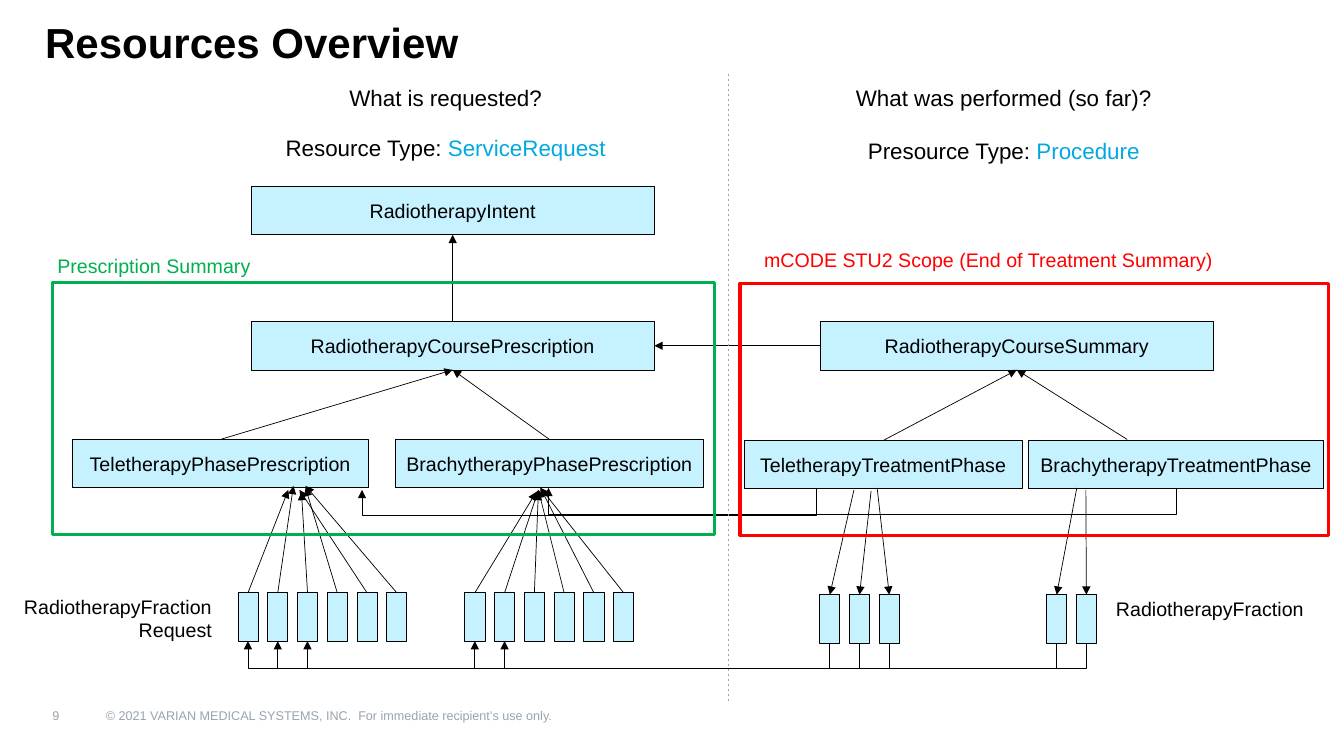
from lxml import etree
from pptx import Presentation
from pptx.dml.color import RGBColor
from pptx.enum import dml, shapes, text
from pptx.oxml.ns import qn
from pptx.util import Inches, Pt

COLORS = {"black": "000000", "white": "FFFFFF", "box": "C6F1FF", "blue": "00A9E0",
          "grey": "98A4AE", "red": "FF0000", "green": "00B050"}

# Resource boxes: label, left, top, width
BOX_H = 0.48
RESOURCES = [
    ("RadiotherapyIntent", 2.49, 1.85, 4),
    ("RadiotherapyCoursePrescription", 2.49, 3.19, 4),
    ("TeletherapyPhasePrescription", 0.72, 4.36, 2.93),
    ("BrachytherapyPhasePrescription", 3.92, 4.36, 3.06),
    ("RadiotherapyCourseSummary", 8.14, 3.19, 3.89),
    ("TeletherapyTreatmentPhase", 7.38, 4.37, 2.76),
    ("BrachytherapyTreatmentPhase", 10.2, 4.37, 2.93),
]
# Child to parent, from top centre to bottom centre
PARENTS = [
    ("RadiotherapyCoursePrescription", "RadiotherapyIntent"),
    ("TeletherapyPhasePrescription", "RadiotherapyCoursePrescription"),
    ("BrachytherapyPhasePrescription", "RadiotherapyCoursePrescription"),
    ("TeletherapyTreatmentPhase", "RadiotherapyCourseSummary"),
    ("BrachytherapyTreatmentPhase", "RadiotherapyCourseSummary"),
]
# Fraction rows: left of the first box, and one arrow end at the phase for each box
FRACTION_W, FRACTION_PITCH = 0.2, 0.295
REQUEST_TOP, PERFORMED_TOP = 5.88, 5.9
REQUESTS = [
    (2.36, [(2.86, 4.86), (2.91, 4.82), (2.99, 4.88), (3.03, 4.84), (2.97, 4.86), (3.03, 4.82)]),
    (4.61, [(5.32, 4.88), (5.34, 4.86), (5.34, 4.88), (5.34, 4.86), (5.36, 4.84), (5.36, 4.84)]),
]
PERFORMED = [
    (8.13, [(8.47, 4.86), (8.64, 4.87), (8.7, 4.84)]),
    (10.38, [(10.68, 4.84), (10.77, 4.86)]),
]
REQUEST_SHIFT = 5.77  # from a performed fraction back to its request
RETURN_Y = 6.63
PHASE_LINKS = [
    [(8.1, 4.85), (8.1, 5.11), (3.59, 5.11), (3.59, 4.86)],
    [(11.67, 4.85), (11.67, 5.1), (5.44, 5.1), (5.44, 4.84)],
]
# Column headings: left, width, space before the type, question, type label, type
HEADINGS = [
    (2.2, 4.44, 18, "What is requested?", "Resource Type: ", "ServiceRequest"),
    (8.01, 3.89, 20, "What was performed (so far)?", "Presource Type: ", "Procedure"),
]
# Scope frames: left, top, width, colour, caption, caption left, caption top
SCOPES = [
    (7.34, 2.81, 5.84, "red", "mCODE STU2 Scope (End of Treatment Summary)", 7.48, 2.29),
    (0.52, 2.8, 6.57, "green", "Prescription Summary", 0.47, 2.35),
]

prs = Presentation()
prs.slide_width, prs.slide_height = Inches(13.33), Inches(7.5)
s = prs.slides.add_slide(prs.slide_layouts[6])


def rgb(name):
    return RGBColor.from_string(COLORS[name])


def style(run, size, color, bold=False):
    f = run.font
    f.name, f.size, f.bold = "Arial", Pt(size), bold
    f.color.rgb = rgb(color)


def add_text(at, content, size, color="black", align=text.PP_ALIGN.LEFT, bold=False,
             spacing=1.0, wrap=True, anchor=text.MSO_ANCHOR.TOP):
    sp = s.shapes.add_textbox(*map(Inches, at))
    tf = sp.text_frame
    tf.word_wrap, tf.vertical_anchor = wrap, anchor
    tf.text = content
    p = tf.paragraphs[0]
    p.alignment, p.line_spacing = align, spacing
    style(p.runs[0], size, color, bold)
    return tf


def add_box(left, top, width, height, fill="box", line="black", weight=0.5):
    sp = s.shapes.add_shape(shapes.MSO_SHAPE.RECTANGLE, *map(Inches, (left, top, width, height)))
    sp.shadow.inherit = False
    if fill:
        sp.fill.solid()
        sp.fill.fore_color.rgb = rgb(fill)
    else:
        sp.fill.background()
    sp.line.color.rgb, sp.line.width = rgb(line), Pt(weight)
    return sp


def set_line(sp, color="black", arrow=True):
    sp.line.color.rgb, sp.line.width = rgb(color), Pt(0.5)
    if arrow:
        ln = sp.element.spPr.find(qn("a:ln"))
        etree.SubElement(ln, qn("a:tailEnd"), type="triangle")


def add_line(start, end, color="black", arrow=True):
    sp = s.shapes.add_connector(shapes.MSO_CONNECTOR.STRAIGHT, *map(Inches, (*start, *end)))
    set_line(sp, color, arrow)
    etree.SubElement(sp.element.spPr, qn("a:effectLst"))
    return sp


def add_elbow(points):
    start, *rest = [tuple(map(Inches, pt)) for pt in points]
    fb = s.shapes.build_freeform(*start)
    fb.add_line_segments(rest, close=False)
    sp = fb.convert_to_shape()
    sp.shadow.inherit = False
    sp.fill.background()
    set_line(sp)


def add_fractions(left, top, count):
    """Draw a row of fraction boxes and return their centre x positions."""
    lefts = [left + i * FRACTION_PITCH for i in range(count)]
    for x in lefts:
        add_box(x, top, FRACTION_W, BOX_H)
    return [x + FRACTION_W / 2 for x in lefts]


# Title and column headings
add_text((0.35, 0.17, 12.3, 0.68), "Resources Overview", 30, bold=True, spacing=0.9)
for left, width, gap, question, label, kind in HEADINGS:
    tf = add_text((left, 0.82, width, 0.44), question, 16, align=text.PP_ALIGN.CENTER, spacing=0.9)
    p = tf.add_paragraph()
    p.text = label
    p.alignment, p.line_spacing, p.space_before = text.PP_ALIGN.CENTER, 0.9, Pt(gap)
    style(p.runs[0], 16, "black")
    r = p.add_run()
    r.text = kind
    style(r, 16, "blue")

# Resource boxes
tops, bottoms = {}, {}
for name, left, top, width in RESOURCES:
    tf = add_box(left, top, width, BOX_H).text_frame
    tf.text = name
    tf.paragraphs[0].alignment = text.PP_ALIGN.CENTER
    style(tf.paragraphs[0].runs[0], 14, "black")
    tops[name] = (left + width / 2, top)
    bottoms[name] = (left + width / 2, top + BOX_H)

# Links between resources
for child, parent in PARENTS:
    start = (11.18, 4.36) if child == "BrachytherapyTreatmentPhase" else tops[child]
    add_line(start, bottoms[parent])
add_line((8.14, 3.43), (6.49, 3.43))
for points in PHASE_LINKS:
    add_elbow(points)

# Fractions, with their links to phases and requests
for left, ends in REQUESTS:
    for x, end in zip(add_fractions(left, REQUEST_TOP, len(ends)), ends):
        add_line((x, REQUEST_TOP), end)
for left, ends in PERFORMED:
    for x, end in zip(add_fractions(left, PERFORMED_TOP, len(ends)), ends):
        add_line(end, (x, PERFORMED_TOP))
        request_x = x - REQUEST_SHIFT
        add_elbow([(x, PERFORMED_TOP + BOX_H), (x, RETURN_Y),
                   (request_x, RETURN_Y), (request_x, REQUEST_TOP + BOX_H)])
add_text((0.13, 5.85, 2.07, 0.57), "RadiotherapyFractionRequest", 14, align=text.PP_ALIGN.RIGHT)
add_text((10.97, 5.87, 2.16, 0.34), "RadiotherapyFraction", 14)

# Divider and scope frames
divider = add_line((7.22, 0.73), (7.22, 6.97), "grey", arrow=False)
divider.line.dash_style = dml.MSO_LINE.DASH
for left, top, width, color, caption, text_left, text_top in SCOPES:
    add_text((text_left, text_top, 5.3, 0.53), caption, 14, color, spacing=1.5)
    add_box(left, top, width, 2.5, fill=None, line=color, weight=2.25)

# Footer
add_text((0.42, 6.9, 0.42, 0.4), "9", 9, "grey", anchor=text.MSO_ANCHOR.MIDDLE)
tf = add_text((1.05, 7.02, 8.8, 0.25),
              "© 2021 VARIAN MEDICAL SYSTEMS, INC.  For immediate recipient’s use only.",
              9, "grey", wrap=False)
tf.margin_left = tf.margin_right = tf.margin_top = tf.margin_bottom = 0

prs.save("out.pptx")
